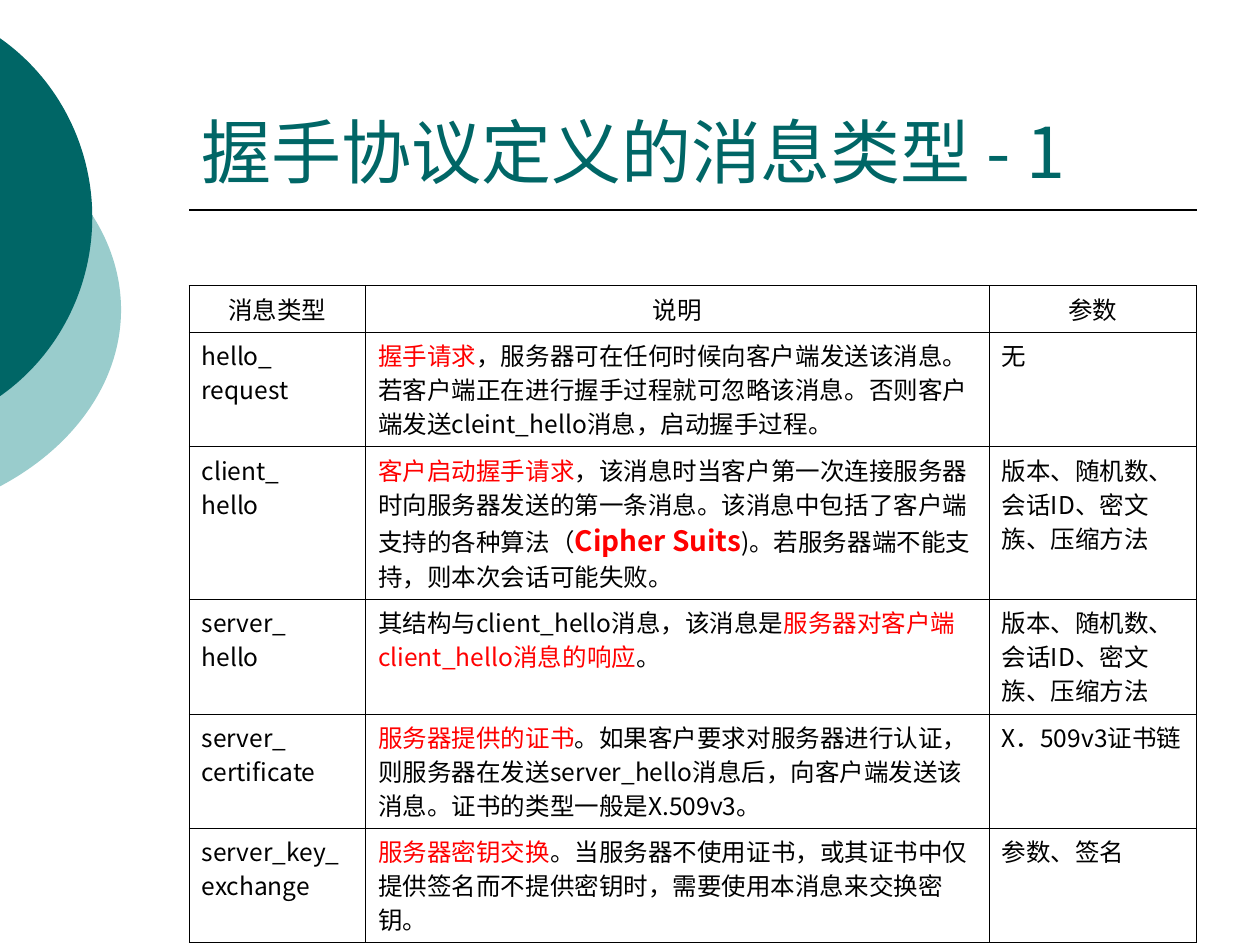
import lxml.etree
import pptx
import pptx.dml.color
import pptx.enum.shapes
import pptx.enum.text
import pptx.oxml.ns
import pptx.util

Cm = pptx.util.Cm
Pt = pptx.util.Pt
qn = pptx.oxml.ns.qn
ALIGN = pptx.enum.text.PP_ALIGN

TEAL = pptx.dml.color.RGBColor(0x00, 0x66, 0x66)
PALE_TEAL = pptx.dml.color.RGBColor(0x99, 0xCC, 0xCC)
BLACK = pptx.dml.color.RGBColor(0x00, 0x00, 0x00)
RED = pptx.dml.color.RGBColor(0xFF, 0x00, 0x00)
FONT = "Noto Sans CJK SC"

PLAIN = (14, BLACK, False)
KEY = (14, RED, False)
STRONG = (16, RED, True)

TITLE = "握手协议定义的消息类型 - 1"
HEADERS = ["消息类型", "说明", "参数"]
HELLO_PARAMETERS = "版本、随机数、会话ID、密文族、压缩方法"
MESSAGES = [
    (["hello_", "request"],
     [("握手请求", KEY),
      ("，服务器可在任何时候向客户端发送该消息。若客户端正在进行握手过程就可忽略该消息。"
       "否则客户端发送cleint_hello消息，启动握手过程。", PLAIN)],
     "无"),
    (["client_", "hello"],
     [("客户启动握手请求", KEY),
      ("，该消息时当客户第一次连接服务器时向服务器发送的第一条消息。"
       "该消息中包括了客户端支持的各种算法（", PLAIN),
      ("Cipher Suits", STRONG),
      (")。若服务器端不能支持，则本次会话可能失败。", PLAIN)],
     HELLO_PARAMETERS),
    (["server_", "hello"],
     [("其结构与client_hello消息，该消息是", PLAIN),
      ("服务器对客户端client_hello消息的响应", KEY),
      ("。", PLAIN)],
     HELLO_PARAMETERS),
    (["server_", "certificate"],
     [("服务器提供的证书", KEY),
      ("。如果客户要求对服务器进行认证，则服务器在发送server_hello消息后，"
       "向客户端发送该消息。证书的类型一般是X.509v3。", PLAIN)],
     "X．509v3证书链"),
    (["server_key_", "exchange"],
     [("服务器密钥交换", KEY),
      ("。当服务器不使用证书，或其证书中仅提供签名而不提供密钥时，"
       "需要使用本消息来交换密钥。", PLAIN)],
     "参数、签名"),
]

LEFT, WIDTH = 3.81, 20.32
COLUMN_WIDTHS = [3.56, 12.57, 4.17]
ROW_HEIGHTS = [0.81, 1.98, 2.59, 1.98, 1.98, 1.98]
HANGING = Cm(0.95)
DISCS = [
    (-8.99, 1.9, 11.43, 8.69, PALE_TEAL),
    (-6.73, 0, 8.59, 8.76, TEAL),
]
DISC_ANGLE = 60


def add_disc_edge(page, left, top, width, height, color):
    disc = page.shapes.add_shape(
        pptx.enum.shapes.MSO_SHAPE.CHORD,
        Cm(left), Cm(top), Cm(width), Cm(height))
    disc.adjustments[0] = (360 - DISC_ANGLE) * 0.6
    disc.adjustments[1] = DISC_ANGLE * 0.6
    disc.shadow.inherit = False
    disc.fill.solid()
    disc.fill.fore_color.rgb = color
    disc.line.fill.background()


def format_span(span, size, color, bold):
    span.font.size = Pt(size)
    span.font.bold = bold
    span.font.color.rgb = color
    span.font.name = FONT
    for tag in ("a:ea", "a:cs"):
        face = lxml.etree.SubElement(span.font._element, qn(tag))
        face.set("typeface", FONT)


def fill_cell(cell, paragraphs, hanging, align=ALIGN.LEFT):
    frame = cell.text_frame
    frame.text = "\n".join("" for _ in paragraphs)
    for paragraph, spans in zip(frame.paragraphs, paragraphs):
        paragraph.alignment = align
        paragraph.line_spacing = 0.95
        properties = paragraph._p.get_or_add_pPr()
        properties.set("hangingPunct", "0")
        if hanging:
            properties.set("marL", str(HANGING))
            properties.set("indent", str(-HANGING))
        for text, style in spans:
            span = paragraph.add_run()
            span.text = text
            format_span(span, *style)


def set_borders(cell, left, right):
    properties = cell._tc.get_or_add_tcPr()
    for side, width in (("L", left), ("R", right), ("T", 0.45), ("B", 0.45)):
        line = lxml.etree.SubElement(properties, qn("a:ln" + side), w=str(Pt(width)))
        fill = lxml.etree.SubElement(line, qn("a:solidFill"))
        lxml.etree.SubElement(fill, qn("a:srgbClr"), val=str(BLACK))
    cell.fill.background()


def add_title(page):
    title = page.shapes.title
    title.left, title.top = Cm(LEFT), Cm(0.83)
    title.width, title.height = Cm(WIDTH), Cm(3.17)
    frame = title.text_frame
    frame.text = TITLE
    frame.word_wrap = True
    frame.auto_size = pptx.enum.text.MSO_AUTO_SIZE.NONE
    frame.vertical_anchor = pptx.enum.text.MSO_ANCHOR.BOTTOM
    frame.paragraphs[0].alignment = ALIGN.LEFT
    format_span(frame.paragraphs[0].runs[0], 40, TEAL, False)


def add_rule(page):
    rule = page.shapes.add_connector(
        pptx.enum.shapes.MSO_CONNECTOR.STRAIGHT,
        Cm(LEFT), Cm(4.23), Cm(LEFT + WIDTH), Cm(4.23))
    rule.line.color.rgb = BLACK
    rule.line.width = Pt(1)
    lxml.etree.SubElement(rule._element.spPr, qn("a:effectLst"))


def add_message_table(page):
    table = page.shapes.add_table(
        len(ROW_HEIGHTS), len(COLUMN_WIDTHS), Cm(LEFT), Cm(5.76),
        Cm(sum(COLUMN_WIDTHS)), Cm(sum(ROW_HEIGHTS))).table
    table.first_row = table.horz_banding = False
    for column, width in zip(table.columns, COLUMN_WIDTHS):
        column.width = Cm(width)
    for row, height in zip(table.rows, ROW_HEIGHTS):
        row.height = Cm(height)

    for index, header in enumerate(HEADERS):
        fill_cell(table.cell(0, index), [[(header, PLAIN)]], True, ALIGN.CENTER)
    for index, (name, description, parameters) in enumerate(MESSAGES, 1):
        fill_cell(table.cell(index, 0), [[(part, PLAIN)] for part in name], True)
        fill_cell(table.cell(index, 1), [description], False)
        fill_cell(table.cell(index, 2), [[(parameters, PLAIN)]],
                  parameters != HELLO_PARAMETERS)

    last = len(COLUMN_WIDTHS) - 1
    for row_index, row in enumerate(table.rows):
        for index, cell in enumerate(row.cells):
            set_borders(cell,
                        left=0.23 if index == 0 and row_index else 0.45,
                        right=0.23 if index == last else 0.45)


def main():
    deck = pptx.Presentation()
    deck.slide_width, deck.slide_height = Cm(25.4), Cm(19.05)
    page = deck.slides.add_slide(deck.slide_layouts[5])
    for disc in DISCS:
        add_disc_edge(page, *disc)
    add_rule(page)
    add_title(page)
    add_message_table(page)
    deck.save("out.pptx")


if __name__ == "__main__":
    main()
